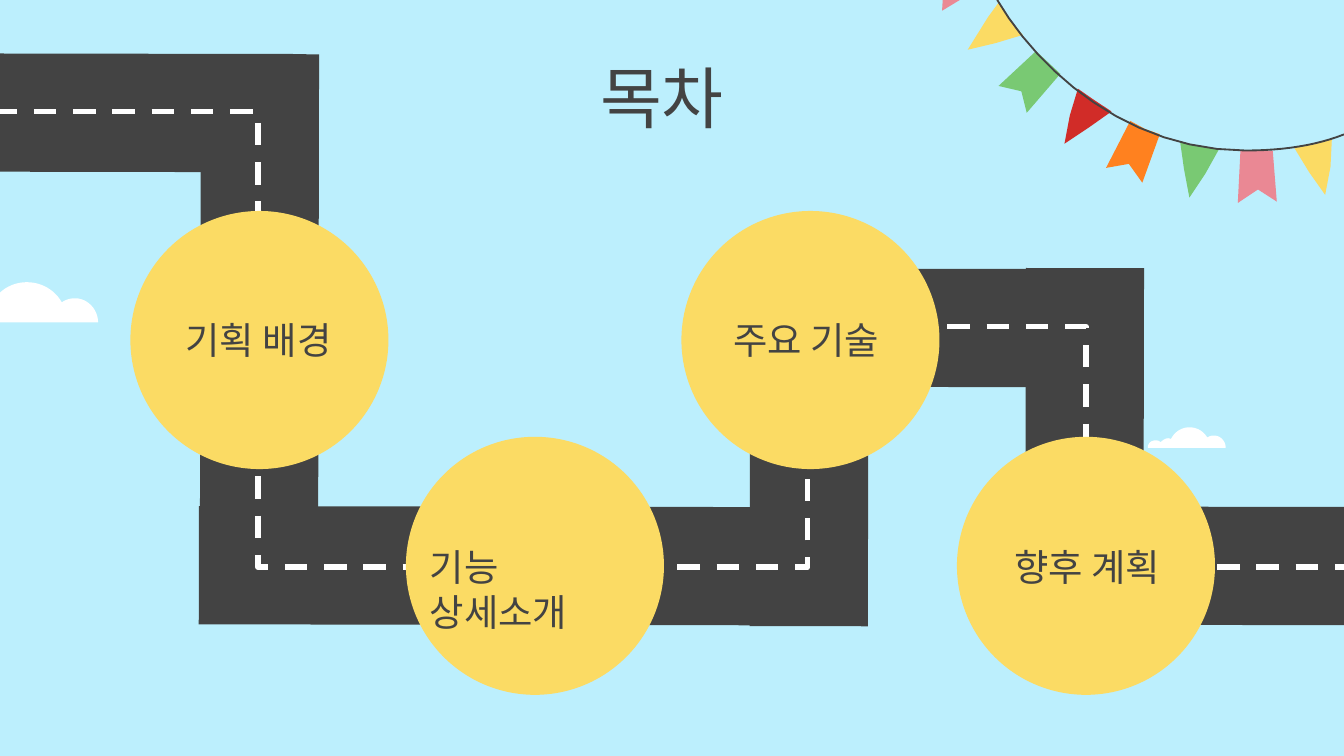
from lxml.etree import SubElement
from pptx import Presentation
from pptx.dml.color import RGBColor
from pptx.enum.dml import MSO_LINE
from pptx.enum.shapes import MSO_SHAPE
from pptx.enum.text import MSO_ANCHOR, MSO_AUTO_SIZE, PP_ALIGN
from pptx.oxml.ns import qn
from pptx.util import Inches, Pt

THEME = dict(
    font="Noto Sans CJK KR", title=36, label=20, sky="BCEFFD", road="434343",
    white="FFFFFF", yellow="FBDB64", pink="EA8894", green="79C973",
    red="D12C28", orange="FF811F",
)
WIDTH = Inches(10)
HEIGHT = WIDTH * 9 // 16
COL0, COL_STEP = 1.93, 2.05
ROWS = (2.53, 4.21)
STOP_SIZE, ROAD_WIDTH, TILT = 1.92, 0.88, 0.1
CLOUD_WIDTH = 1.14

STOPS = [
    (0, 0, "기획 배경", PP_ALIGN.CENTER),
    (1, 1, "기능 상세소개", PP_ALIGN.LEFT),
    (2, 0, "주요 기술", PP_ALIGN.CENTER),
    (3, 1, "향후 계획", PP_ALIGN.CENTER),
]
LABEL_BOXES = [
    (1.21, 2.26, 1.43, 0.76, 0.1),
    (3.1, 4, 1.74, 0.44, 0.05),
    (5.13, 2.31, 1.74, 0.44, 0.05),
    (7.22, 4, 1.74, 0.44, 0.05),
]
ROADS = [
    (7.04, 2.44, 2.93, 0), (1.93, 2.44, 4.07, 90), (3.95, 4.21, 4.94, 0),
    (6.02, 3.33, 2.66, 90), (8.07, 3.32, 2.65, 90), (8.82, 4.21, 2.37, 0),
    (1.14, 0.84, 2.28, 0),
]
CENTRE_LINE = [
    (-0.04, 0.83), (1.92, 0.83), (1.92, 4.22), (6.01, 4.22),
    (6.01, 2.43), (8.08, 2.43), (8.08, 4.22), (10.22, 4.22),
]
CLOUD_CURVES = [
    [(0.61, 0), (0.49, 0), (0.39, 0.07), (0.34, 0.17)],
    [(0.34, 0.17), (0.33, 0.17), (0.32, 0.16), (0.3, 0.16)],
    [(0.3, 0.16), (0.26, 0.16), (0.21, 0.19), (0.19, 0.22)],
    [(0.19, 0.22), (0.16, 0.19), (0.11, 0.18), (0.07, 0.2)],
    [(0.07, 0.2), (0.03, 0.21), (0, 0.25), (0, 0.3)],
    [(1.14, 0.3), (1.14, 0.2), (1.06, 0.12), (0.97, 0.12)],
    [(0.97, 0.12), (0.93, 0.12), (0.9, 0.13), (0.87, 0.15)],
    [(0.87, 0.15), (0.82, 0.06), (0.72, 0), (0.61, 0)],
]
STRING_CURVES = [
    [(7.42, 0), (7.74, 0.54), (8.4, 1.12), (9.27, 1.12)],
    [(9.27, 1.12), (9.55, 1.12), (9.8, 1.08), (10, 1)],
]
PENNANTS = [
    ("pink", [(7.22, -0.34), (6.87, -0.18), (7.02, -0.09), (7.01, 0.08), (7.34, -0.12)]),
    ("yellow", [(7.43, 0.02), (7.35, 0.13), (7.2, 0.37), (7.41, 0.32), (7.61, 0.26), (7.51, 0.14)]),
    ("green", [(7.71, 0.38), (7.43, 0.64), (7.6, 0.68), (7.64, 0.84), (7.89, 0.55)]),
    ("red", [(8.02, 0.66), (7.96, 0.86), (7.92, 1.07), (8.1, 0.95), (8.27, 0.83), (8.12, 0.73)]),
    ("orange", [(8.41, 0.9), (8.23, 1.25), (8.4, 1.22), (8.5, 1.36), (8.63, 1), (8.52, 0.96)]),
    ("green", [(8.78, 1.05), (8.81, 1.26), (8.85, 1.47), (8.97, 1.29), (9.07, 1.11), (8.92, 1.09)]),
    ("pink", [(9.23, 1.12), (9.21, 1.51), (9.36, 1.41), (9.5, 1.5), (9.47, 1.12)]),
    ("yellow", [(9.91, 1.03), (9.77, 1.07), (9.63, 1.1), (9.74, 1.28), (9.86, 1.45), (9.9, 1.24)]),
]


def color(name):
    return RGBColor.from_string(THEME[name])


def set_values(target, values):
    for name, value in values.items():
        setattr(target, name, value)


def paint(sp, fill):
    sp.shadow.inherit = False
    sp.fill.solid()
    sp.fill.fore_color.rgb = color(fill)
    sp.line.fill.background()


def add_outline(s, points, closed=True):
    emu = [(Inches(x), Inches(y)) for x, y in points]
    builder = s.shapes.build_freeform(*emu[0], scale=1.0)
    builder.add_line_segments(emu[1:], close=closed)
    return builder.convert_to_shape()


def add_polygon(s, points, fill):
    paint(add_outline(s, points), fill)


def add_stroke(s, points, name, width, dash=None):
    sp = add_outline(s, points, closed=False)
    sp.shadow.inherit = False
    sp.fill.background()
    sp.line.color.rgb = color(name)
    set_values(sp.line, dict(width=Pt(width), dash_style=dash))


def sample(curves, steps=12):
    points = []
    for curve in curves:
        for i in range(steps + 1):
            t = i / steps
            weights = ((1 - t) ** 3, 3 * t * (1 - t) ** 2, 3 * t * t * (1 - t), t ** 3)
            points.append(tuple(sum(w * p[axis] for w, p in zip(weights, curve)) for axis in (0, 1)))
    return points


def add_cloud(s, left, top, width):
    scale = width / CLOUD_WIDTH
    add_polygon(s, [(left + x * scale, top + y * scale) for x, y in sample(CLOUD_CURVES)], "white")


def add_centred(s, kind, cx, cy, width, height, fill):
    sp = s.shapes.add_shape(kind, Inches(cx - width / 2), Inches(cy - height / 2),
                            Inches(width), Inches(height))
    paint(sp, fill)
    return sp


def write(sp, text, size, align, inset):
    tf = sp.text_frame
    set_values(tf, dict(
        word_wrap=True, auto_size=MSO_AUTO_SIZE.NONE, vertical_anchor=MSO_ANCHOR.TOP,
        margin_left=Inches(0.1), margin_right=Inches(0.1),
        margin_top=Inches(inset), margin_bottom=Inches(inset)))
    p = tf.paragraphs[0]
    set_values(p, dict(alignment=align, line_spacing=1.0, space_before=Pt(0)))
    r = p.add_run()
    r.text = text
    set_values(r.font, dict(name=THEME["font"], size=Pt(THEME[size]), bold=False))
    r.font.color.rgb = color("road")
    SubElement(r.font._element, qn("a:ea")).set("typeface", THEME["font"])


def add_title(s, text):
    sp = s.shapes.title
    set_values(sp, dict(left=Inches(2.83), top=Inches(0.32), width=Inches(4.19), height=Inches(0.63)))
    write(sp, text, "title", PP_ALIGN.CENTER, 0.1)


def add_label(s, text, align, box):
    *frame, inset = box
    write(s.shapes.add_textbox(*map(Inches, frame)), text, "label", align, inset)


def main():
    prs = Presentation()
    set_values(prs, dict(slide_width=WIDTH, slide_height=HEIGHT))
    s = prs.slides.add_slide(prs.slide_layouts[5])
    s.background.fill.solid()
    s.background.fill.fore_color.rgb = color("sky")

    add_cloud(s, -0.41, 2.1, CLOUD_WIDTH)
    add_cloud(s, 8.54, 3.18, 0.58)
    add_title(s, "목차")
    for cx, cy, length, turn in ROADS:
        road = add_centred(s, MSO_SHAPE.RECTANGLE, cx, cy, length, ROAD_WIDTH, "road")
        road.rotation = turn + TILT
    add_stroke(s, CENTRE_LINE, "white", 3, MSO_LINE.DASH)
    for col, row, _, _ in STOPS:
        add_centred(s, MSO_SHAPE.OVAL, COL0 + col * COL_STEP, ROWS[row], STOP_SIZE, STOP_SIZE, "yellow")
    for fill, points in PENNANTS:
        add_polygon(s, points, fill)
    add_stroke(s, sample(STRING_CURVES), "road", 1)
    for (_, _, text, align), box in zip(STOPS, LABEL_BOXES):
        add_label(s, text, align, box)
    prs.save("out.pptx")


if __name__ == "__main__":
    main()
